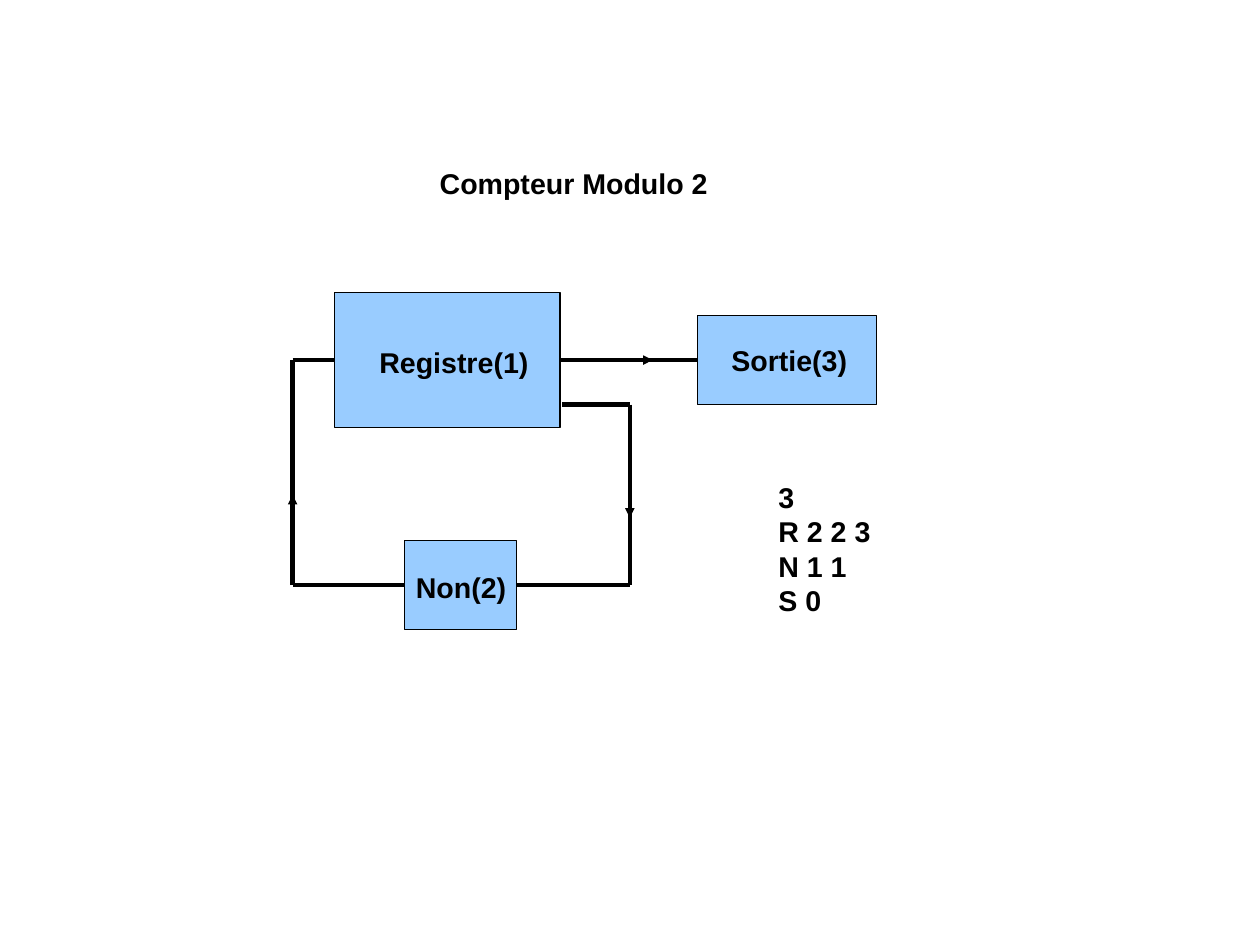
from pptx import Presentation
from pptx.dml.color import RGBColor
from pptx.enum.shapes import MSO_CONNECTOR as CONN, MSO_SHAPE as SHAPE
from pptx.enum.text import PP_ALIGN as ALIGN
from pptx.oxml.ns import qn
from pptx.util import Inches, Pt
from lxml.etree import SubElement

BLUE = RGBColor(0x99, 0xCC, 0xFF)
BLACK = RGBColor(0, 0, 0)
WIRE = 2.83
HAIRLINE = 0
LEFT, RIGHT = 1, 3
CM_PER_INCH = 2.54

# Shared axes of the wiring
OUTPUT_Y, FEEDBACK_Y, NON_Y = 3.15, 3.54, 5.12
RETURN_X, FEEDBACK_X = 2.56, 5.51


def add_block(slide, x, y, w, h):
    sp = slide.shapes.add_shape(SHAPE.RECTANGLE, Inches(x), Inches(y),
                                Inches(w), Inches(h))
    sp.shadow.inherit = False
    sp.fill.solid()
    sp.fill.fore_color.rgb = BLUE
    sp.line.color.rgb = BLACK
    sp.line.width = Pt(HAIRLINE)
    return sp


def add_text(slide, x, y, w, h, lines, inset=(0.1, 0.05), align=ALIGN.LEFT):
    tf = slide.shapes.add_textbox(Inches(x), Inches(y),
                                  Inches(w), Inches(h)).text_frame
    tf.word_wrap = True
    tf.margin_left = tf.margin_right = Inches(inset[0])
    tf.margin_top = tf.margin_bottom = Inches(inset[1])
    for i, line in enumerate(lines):
        p = tf.add_paragraph() if i else tf.paragraphs[0]
        p.alignment = align
        r = p.add_run()
        r.text = line
        r.font.name = "Arial"
        r.font.size = Pt(18)
        r.font.bold = True
        r.font.color.rgb = BLACK


def add_line(slide, start, end, width=WIRE):
    cx = slide.shapes.add_connector(CONN.STRAIGHT, *map(Inches, start + end))
    cx.line.color.rgb = BLACK
    cx.line.width = Pt(width)
    SubElement(cx._element.spPr, qn("a:effectLst"))
    return cx


def add_wire(slide, points, source=None, target=None):
    """Draw a bent wire; source and target are (block, side) pairs."""
    parts = [add_line(slide, a, b) for a, b in zip(points, points[1:])]
    if source:
        parts[0].begin_connect(*source)
    if target:
        parts[-1].end_connect(*target)


def add_flow_arrow(slide, start, end):
    cx = add_line(slide, start, end, HAIRLINE)
    SubElement(cx.line._get_or_add_ln(), qn("a:tailEnd"), type="triangle")


def main():
    # Slide of 28 by 21 cm
    prs = Presentation()
    prs.slide_width = Inches(28 / CM_PER_INCH)
    prs.slide_height = Inches(21 / CM_PER_INCH)
    slide = prs.slides.add_slide(prs.slide_layouts[6])

    # Blocks and their labels
    registre = add_block(slide, 2.93, 2.56, 1.97, 1.18)
    non = add_block(slide, 3.54, 4.73, 0.98, 0.78)
    sortie = add_block(slide, 6.1, 2.76, 1.57, 0.78)
    add_text(slide, 3.22, 2.97, 1.7, 0.38, ["Registre(1)"])
    add_text(slide, 6.3, 2.95, 1.77, 0.38, ["Sortie(3)"])
    add_text(slide, 3.54, 4.94, 1.18, 0.38, ["Non(2)"])

    # Wires: register to inverter, inverter to register, register to output
    add_wire(slide, [(4.92, FEEDBACK_Y), (FEEDBACK_X, FEEDBACK_Y),
                     (FEEDBACK_X, NON_Y), (4.52, NON_Y)],
             target=(non, RIGHT))
    add_wire(slide, [(3.54, NON_Y), (RETURN_X, NON_Y),
                     (RETURN_X, OUTPUT_Y), (2.93, OUTPUT_Y)],
             source=(non, LEFT), target=(registre, LEFT))
    add_wire(slide, [(4.9, OUTPUT_Y), (6.1, OUTPUT_Y)],
             source=(registre, RIGHT), target=(sortie, LEFT))

    # Circuit description and title
    add_text(slide, 6.69, 4.13, 1.97, 1.45,
             ["3", "R 2 2 3", "N 1 1", "S 0"], inset=(0.12, 0.07))
    add_text(slide, 2.56, 1.38, 4.92, 0.42, ["Compteur Modulo 2"],
             inset=(0.12, 0.07), align=ALIGN.CENTER)

    # Flow direction
    add_flow_arrow(slide, (5.31, OUTPUT_Y), (5.71, OUTPUT_Y))
    add_flow_arrow(slide, (FEEDBACK_X, 4.13), (FEEDBACK_X, 4.53))
    add_flow_arrow(slide, (RETURN_X, 4.72), (RETURN_X, 4.33))

    prs.save("out.pptx")


if __name__ == "__main__":
    main()
